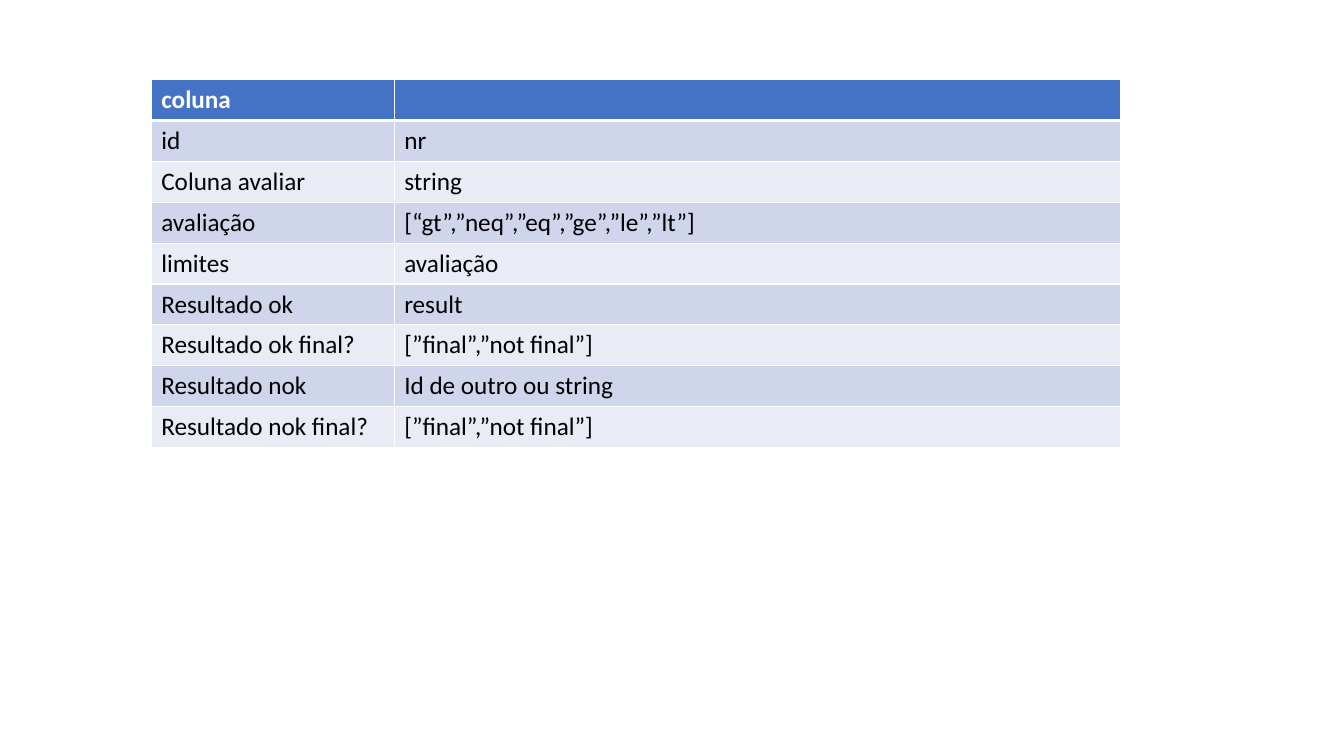
import pptx
import pptx.dml.color
import pptx.oxml.ns
import pptx.util
import lxml.etree
from pptx.util import Inches

COLORS = {
    "header": "4472C4",
    "band_dark": "CFD5EA",
    "band_light": "E9EBF5",
    "border": "FFFFFF",
    "header_text": "FFFFFF",
    "body_text": "000000",
}
FONT = "Calibri"
ROWS = [
    ("coluna", ""),
    ("id", "nr"),
    ("Coluna avaliar", "string"),
    ("avaliação", "[“gt”,”neq”,”eq”,”ge”,”le”,”lt”]"),
    ("limites", "avaliação"),
    ("Resultado ok", "result"),
    ("Resultado ok final?", "[”final”,”not final”]"),
    ("Resultado nok", "Id de outro ou string"),
    ("Resultado nok final?", "[”final”,”not final”]"),
]
COLUMN_WIDTHS = (2.41, 7.2)


def rgb(name):
    """Return the named colour."""
    return pptx.dml.color.RGBColor.from_string(COLORS[name])


def set_borders(cell, top=1, bottom=1):
    """Draw the four cell borders, with widths in points."""
    qn = pptx.oxml.ns.qn
    tcPr = cell._tc.get_or_add_tcPr()
    for side, width in (("L", 1), ("R", 1), ("T", top), ("B", bottom)):
        ln = lxml.etree.SubElement(tcPr, qn(f"a:ln{side}"), w=str(pptx.util.Pt(width)))
        fill = lxml.etree.SubElement(ln, qn("a:solidFill"))
        lxml.etree.SubElement(fill, qn("a:srgbClr"), val=COLORS["border"])


def format_cell(cell, text, row):
    """Write one cell and style it by its row number."""
    header = row == 0
    set_borders(cell, top=3 if row == 1 else 1, bottom=3 if header else 1)
    band = "header" if header else ("band_light", "band_dark")[row % 2]
    cell.fill.solid()
    cell.fill.fore_color.rgb = rgb(band)
    cell.text = text
    for r in cell.text_frame.paragraphs[0].runs:
        r.font.name = FONT
        r.font.size = pptx.util.Pt(18)
        r.font.bold = header
        r.font.color.rgb = rgb("header_text" if header else "body_text")


def add_rules_table(s):
    """Add the table that describes each column of a rule."""
    frame = s.shapes.add_table(len(ROWS), len(COLUMN_WIDTHS), Inches(1.5), Inches(0.79),
                               Inches(sum(COLUMN_WIDTHS)), Inches(3.65))
    table = frame.table
    for column, width in zip(table.columns, COLUMN_WIDTHS):
        column.width = Inches(width)
    for i, texts in enumerate(ROWS):
        for j, text in enumerate(texts):
            format_cell(table.cell(i, j), text, i)


def main():
    """Build and save the slide."""
    prs = pptx.Presentation()
    prs.slide_width, prs.slide_height = Inches(13.33), Inches(7.5)
    s = prs.slides.add_slide(prs.slide_layouts[6])
    add_rules_table(s)
    prs.save("out.pptx")


main()
